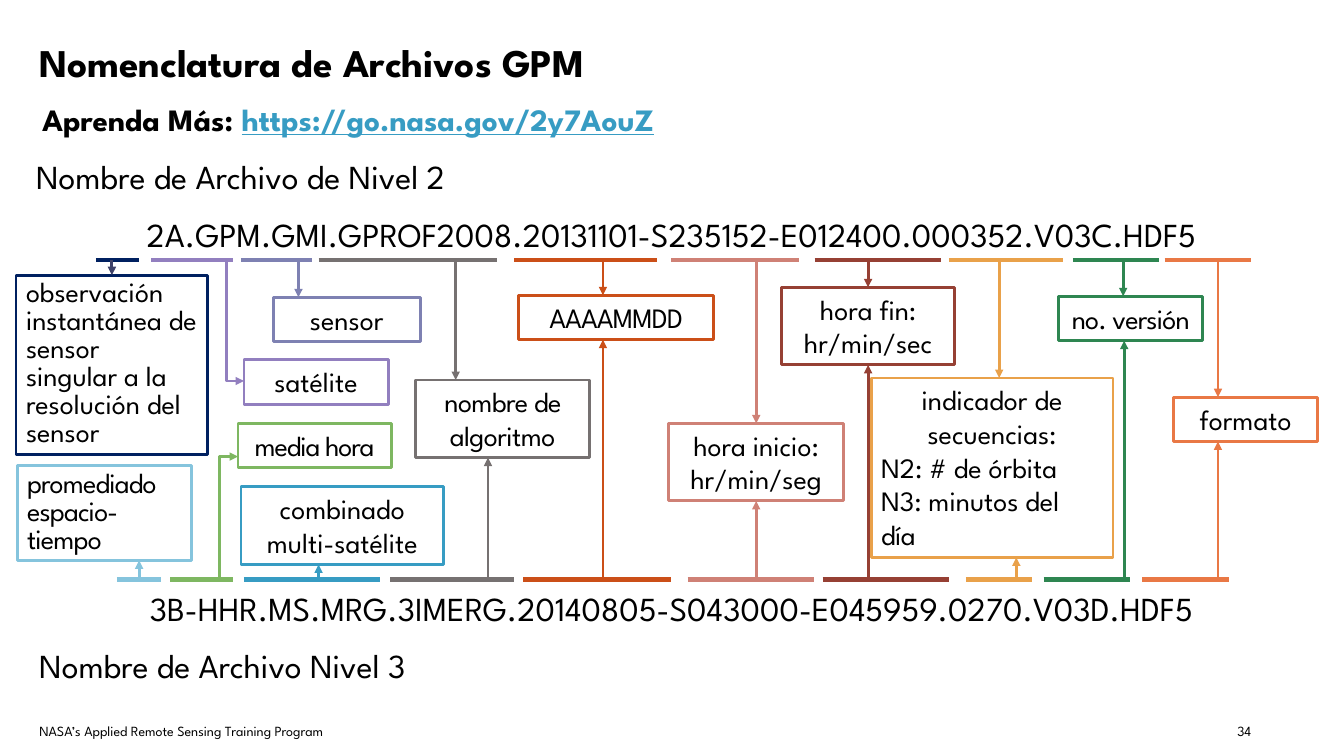
from dataclasses import dataclass
from typing import Optional

from lxml.etree import SubElement
from pptx import Presentation
from pptx.dml.color import RGBColor
from pptx.enum.shapes import MSO_CONNECTOR, MSO_SHAPE
from pptx.enum.text import MSO_ANCHOR, MSO_AUTO_SIZE, PP_ALIGN
from pptx.oxml.ns import qn
from pptx.util import Emu, Pt

PX = 9144  # EMU per px, 100 px to the inch
FONT = "League Spartan"
LEFT, MID, RIGHT = PP_ALIGN.LEFT, PP_ALIGN.CENTER, PP_ALIGN.RIGHT
TOP_RAIL, LOW_RAIL = 258, 575

BLACK = RGBColor(0x00, 0x00, 0x00)
NAVY = RGBColor(0x00, 0x20, 0x60)
SLATE = RGBColor(0x3E, 0x41, 0x68)
SKY = RGBColor(0x85, 0xC4, 0xDD)
LIME = RGBColor(0x7E, 0xB7, 0x61)
VIOLET = RGBColor(0x92, 0x7F, 0xBF)
PERI = RGBColor(0x7E, 0x81, 0xB2)
GRAY = RGBColor(0x76, 0x71, 0x71)
BLUE = RGBColor(0x37, 0x9C, 0xC3)
RUST = RGBColor(0xCB, 0x4F, 0x18)
BROWN = RGBColor(0x96, 0x40, 0x34)
GOLD = RGBColor(0xE9, 0xA1, 0x4A)
GREEN = RGBColor(0x2E, 0x86, 0x51)
CORAL = RGBColor(0xE9, 0x78, 0x45)
ROSE = RGBColor(0xCF, 0x81, 0x76)

WIDE = (13, 7, 13, 7)
NORM = (10, 5, 10, 5)
SLIM = (0, 5, 0, 5)


@dataclass
class Tag:
    """A labelled box; top and low hold (start, end, stem) on each rail."""
    text: str
    box: tuple
    color: RGBColor
    top: Optional[tuple] = None
    low: Optional[tuple] = None
    align: tuple = (MID,)
    pad: tuple = NORM
    track: float = 0
    lead: Optional[int] = None
    stem: Optional[RGBColor] = None
    bend: int = 0  # height at which an elbow turns to the box


TAGS = [
    Tag("observación instantánea de sensor singular a la resolución del sensor",
        (16, 273, 190, 178), NAVY, top=(95, 138, 111), align=(LEFT,),
        lead=20, stem=SLATE),
    Tag("promediado espacio-tiempo", (17, 462, 173, 94), SKY,
        low=(116, 160, 138), align=(LEFT,), pad=(10, 5, 0, 5),
        track=-0.6, lead=20),
    Tag("media hora", (236, 420, 152, 44), LIME, low=(169, 231, 218),
        pad=SLIM, track=-0.8, bend=453),
    Tag("satélite", (242, 357, 143, 44), VIOLET, top=(150, 231, 225), bend=378),
    Tag("sensor", (271, 295, 146, 44), PERI, top=(239, 309, 296)),
    Tag("nombre de algoritmo", (412, 377, 173, 77), GRAY,
        top=(316, 493, 452), low=(387, 510, 484), track=-0.4),
    Tag("combinado multi-satélite", (239, 483, 201, 77), BLUE,
        low=(242, 377, 316)),
    Tag("AAAAMMDD", (514, 293, 194, 44), RUST,
        top=(510, 652, 598), low=(519, 666, 598), track=-0.6),
    Tag("hora fin: hr/min/sec", (775, 285, 172, 77), BROWN,
        top=(808, 933, 861), low=(816, 941, 861)),
    Tag("indicador de secuencias:\nN2: # de órbita\nN3: minutos del\vdía",
        (864, 375, 240, 178), GOLD, top=(941, 1054, 991),
        low=(958, 1024, 1008), align=(MID, LEFT, LEFT)),
    Tag("no. versión", (1050, 294, 143, 44), GREEN, top=(1064, 1150, 1114),
        low=(1035, 1121, 1115), pad=SLIM, track=-0.6),
    Tag("formato", (1164, 394, 143, 44), CORAL,
        top=(1155, 1241, 1208), low=(1133, 1219, 1208)),
    Tag("hora inicio: hr/min/seg", (663, 420, 174, 77), ROSE,
        top=(666, 792, 750), low=(682, 807, 750)),
]


def px(*nums):
    return [Emu(round(n * PX)) for n in nums]


def style(run, size, color=BLACK, bold=False, line=False, track=0):
    font = run.font
    font.name, font.size, font.bold, font.underline = FONT, Pt(size), bold, line
    font.color.rgb = color
    if track:
        run._r.get_or_add_rPr().set("spc", str(round(track * 100)))


def write(shape, text, size=24, align=(LEFT,), pad=NORM, lead=None,
          anchor=MSO_ANCHOR.TOP, **look):
    """Fill a shape with text, one paragraph to a line."""
    frame = shape.text_frame
    frame.word_wrap, frame.auto_size = True, MSO_AUTO_SIZE.NONE
    frame.vertical_anchor = anchor
    (frame.margin_left, frame.margin_top,
     frame.margin_right, frame.margin_bottom) = px(*pad)
    frame.text = text
    for i, para in enumerate(frame.paragraphs):
        para.alignment = align[i % len(align)]
        if lead:
            para.line_spacing = Pt(lead)
        for run in para.runs:
            style(run, size, **look)
    return frame


def label(slide, text, box, **look):
    return write(slide.shapes.add_textbox(*px(*box)), text, **look)


def draw(slide, kind, ends, color, width, arrow=False):
    """Add a connector from (x1, y1) to (x2, y2)."""
    wire = slide.shapes.add_connector(kind, *px(*ends))
    wire.line.color.rgb, wire.line.width = color, Pt(width)
    if arrow:
        SubElement(wire.line._get_or_add_ln(), qn("a:tailEnd"), type="triangle")
    SubElement(wire._element.spPr, qn("a:effectLst"))
    return wire


def elbow(slide, x1, y1, x2, y2, color):
    """Run upright from the rail, then across to the box."""
    mid, level = (x1 + x2) / 2, (y1 + y2) / 2
    long, deep = abs(y2 - y1) / 2, (x2 - x1) / 2
    down = y2 > y1
    if not down:
        deep = -deep
    wire = draw(slide, MSO_CONNECTOR.ELBOW,
                (mid + long, level - deep, mid - long, level + deep),
                color, 2, arrow=True)
    props = wire._element.spPr
    props.find(qn("a:xfrm")).set("rot", str((270 if down else 90) * 60000))
    props.find(qn("a:prstGeom")).set("prst", "bentConnector2")


def frame_box(slide, tag):
    box = slide.shapes.add_shape(MSO_SHAPE.RECTANGLE, *px(*tag.box))
    box.shadow.inherit = False
    box.fill.background()
    box.line.color.rgb, box.line.width = tag.color, Pt(2)
    write(box, tag.text, size=20, align=tag.align, pad=tag.pad,
          lead=tag.lead, track=tag.track)
    return box


def link(slide, tag, box, span, rail):
    """Draw a rail segment and the arrow from it to the box."""
    start, end, stem = span
    x, y, w, h = tag.box
    color = tag.stem or tag.color
    draw(slide, MSO_CONNECTOR.STRAIGHT, (start, rail, end, rail), tag.color, 3)
    if tag.bend:
        elbow(slide, stem, rail, x, tag.bend, color)
        return
    above = rail == TOP_RAIL
    wire = draw(slide, MSO_CONNECTOR.STRAIGHT,
                (stem, rail, stem, y if above else y + h), color, 2, arrow=True)
    if stem == x + w / 2:
        wire.end_connect(box, 0 if above else 2)


def main():
    deck = Presentation()
    deck.slide_width, deck.slide_height = px(1333, 750)
    slide = deck.slides.add_slide(deck.slide_layouts[5])

    # Title and web address
    title = slide.shapes.title
    title.left, title.top, title.width, title.height = px(26, 30, 1280, 63)
    write(title, "Nomenclatura de Archivos GPM", size=28, bold=True,
          pad=WIDE, anchor=MSO_ANCHOR.MIDDLE)
    more = label(slide, "Aprenda Más: ", (26, 93, 1280, 48), size=22.2,
                 bold=True, pad=(16, 7, 13, 7))
    site = more.paragraphs[0].add_run()
    site.text = "https://go.nasa.gov/2y7AouZ"
    style(site, 22.2, BLUE, bold=True, line=True)

    # File names and their headings
    label(slide, "Nombre de Archivo de Nivel 2", (26, 150, 975, 50))
    label(slide, "Nombre de Archivo Nivel 3", (29, 635, 975, 50))
    label(slide, "2A.GPM.GMI.GPROF2008.20131101-S235152-E012400.000352.V03C.HDF5",
          (26, 207, 1280, 50), align=(MID,))
    label(slide, "3B-HHR.MS.MRG.3IMERG.20140805-S043000-E045959.0270.V03D.HDF5",
          (26, 578, 1280, 50), align=(MID,))

    # Boxes first, then the lines over them
    boxes = [frame_box(slide, tag) for tag in TAGS]
    for tag, box in zip(TAGS, boxes):
        for span, rail in ((tag.top, TOP_RAIL), (tag.low, LOW_RAIL)):
            if span:
                link(slide, tag, box, span, rail)

    # Footer
    label(slide, "NASA’s Applied Remote Sensing Training Program",
          (26, 710, 429, 30), size=10, pad=WIDE)
    label(slide, "34", (1179, 710, 75, 30), size=10, pad=WIDE, align=(RIGHT,))
    deck.save("out.pptx")


if __name__ == "__main__":
    main()
